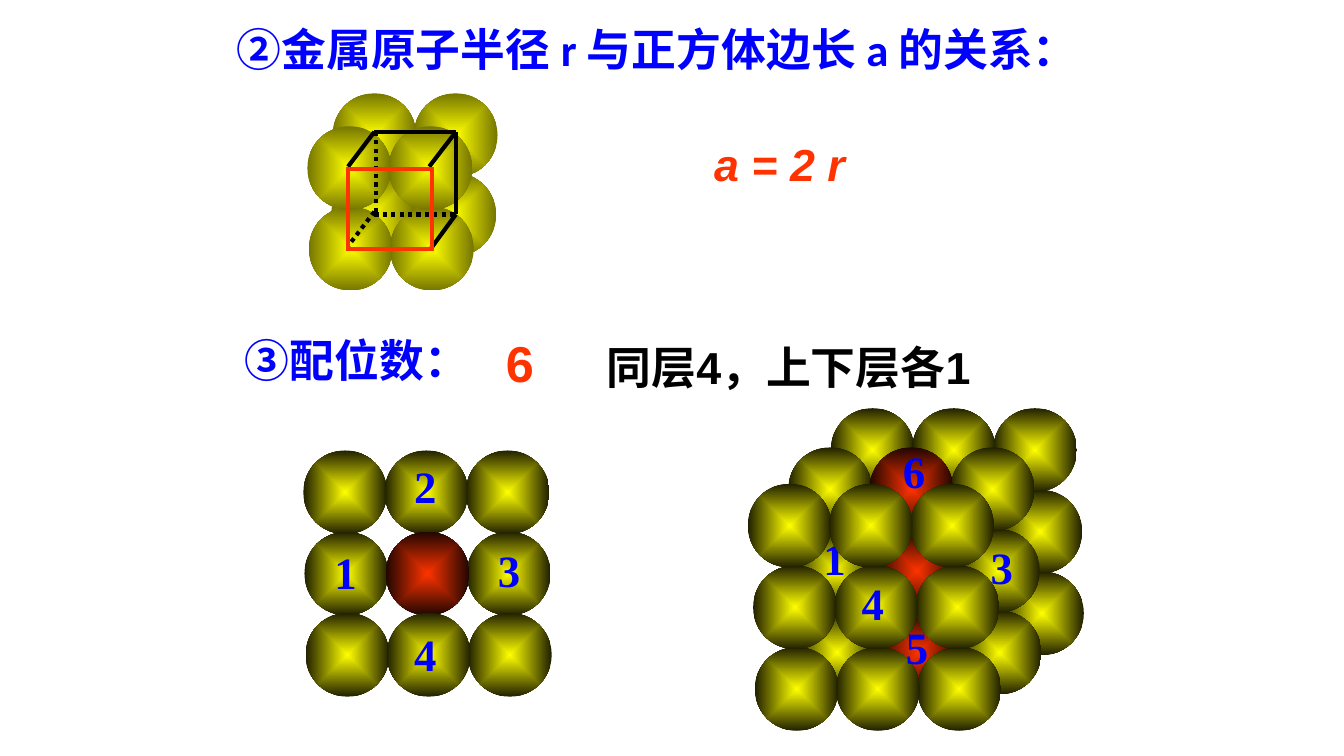
from dataclasses import dataclass

from lxml.etree import SubElement
from pptx import Presentation
from pptx.dml.color import RGBColor
from pptx.enum.dml import MSO_LINE_DASH_STYLE as Dash
from pptx.enum.shapes import MSO_CONNECTOR as Connector, MSO_SHAPE as Shape
from pptx.enum.text import PP_ALIGN as Align
from pptx.oxml.ns import qn
from pptx.util import Pt


@dataclass(frozen=True)
class Theme:
    blue: str = "0000FF"
    red: str = "FF3300"
    black: str = "000000"
    yellow: str = "FFFF00"
    olive_rim: str = "767600"
    dark_rim: str = "202000"
    red_rim: str = "200600"
    title_font: str = "Calibri"
    body_font: str = "Arial"
    number_font: str = "Times New Roman"
    text_size: int = 32
    answer_size: int = 36
    edge_width: int = 3


THEME = Theme()
DIAMETER = 59.8
STEP = 58


# Basic parts
def add_text(slide, box, text, color, font=THEME.body_font,
             size=THEME.text_size, italic=False, align=Align.LEFT):
    shape = slide.shapes.add_textbox(*map(Pt, box))
    frame = shape.text_frame
    frame.word_wrap = True
    frame.text = text
    paragraph = frame.paragraphs[0]
    paragraph.alignment = align
    run_font = paragraph.runs[0].font
    run_font.name = font
    run_font.size = Pt(size)
    run_font.bold = True
    run_font.italic = italic
    run_font.color.rgb = RGBColor.from_string(color)


def add_sphere(slide, left, top, center, rim):
    shape = slide.shapes.add_shape(
        Shape.OVAL, Pt(left), Pt(top), Pt(DIAMETER), Pt(DIAMETER))
    shape.shadow.inherit = False
    shape.line.fill.background()
    shape.fill.gradient()
    for stop, position, color in zip(shape.fill.gradient_stops, (0, 1), (center, rim)):
        stop.position = position
        stop.color.rgb = RGBColor.from_string(color)
    # Turn the linear gradient into one that spreads from the centre
    gradient = shape._element.spPr.find(qn("a:gradFill"))
    gradient.remove(gradient.find(qn("a:lin")))
    spread = SubElement(gradient, qn("a:path"), path="shape")
    SubElement(spread, qn("a:fillToRect"),
               {side: "50000" for side in ("l", "t", "r", "b")})


def add_edge(slide, start, end, color, dotted=False):
    line = slide.shapes.add_connector(Connector.STRAIGHT, *map(Pt, (*start, *end)))
    line.line.color.rgb = RGBColor.from_string(color)
    line.line.width = Pt(THEME.edge_width)
    if dotted:
        line.line.dash_style = Dash.ROUND_DOT
    SubElement(line._element.spPr, qn("a:effectLst"))


def add_numbers(slide, left, top, places):
    for number, (x, y) in places.items():
        add_text(slide, (left + x, top + y, 30, 46), number,
                 THEME.blue, THEME.number_font)


def add_layer(slide, left, top, rows):
    """Three rows of three spheres, with a red one in the middle."""
    for row, (x, y) in enumerate(rows):
        for column in (0, 2, 1):
            is_center = row == column == 1
            add_sphere(slide, left + x + column * STEP, top + y,
                       THEME.red if is_center else THEME.yellow,
                       THEME.red_rim if is_center else THEME.dark_rim)


# Regions
def add_unit_cell(slide, left, top):
    # Eight spheres, from the bottom back pair to the top front pair
    pairs = [(17, 57.2, (1, 0)), (1, 81.5, (1, 0)),
             (18, 0.5, (0, 1)), (0, 24, (0, 1))]
    for x, y, columns in pairs:
        for column in columns:
            add_sphere(slide, left + x + column * STEP, top + y,
                       THEME.yellow, THEME.olive_rim)

    # Cube edges behind the front face
    front_left, front_right = left + 29, left + 89
    front_top, front_bottom = top + 54.8, top + 111.6
    back_left, back_right = left + 47.8, left + 106
    back_top, back_bottom = top + 28, top + 87
    edges = [
        ((back_left, back_top), (back_right, back_top), False),
        ((back_right, back_top), (back_right, back_bottom), False),
        ((back_left + 1, back_top), (back_left + 1, back_bottom), True),
        ((back_left, back_bottom), (back_right, back_bottom), True),
        ((back_left, back_top), (front_left, front_top - 2), False),
        ((back_right, back_top), (front_right - 2, front_top - 2), False),
        ((back_right, back_bottom), (front_right - 1, front_bottom), False),
        ((back_left, back_bottom - 2), (front_left, front_bottom - 2), True),
    ]
    for start, end, dotted in edges:
        add_edge(slide, start, end, THEME.black, dotted)

    # Red front face
    for y in (front_top, front_bottom):
        add_edge(slide, (front_left, y), (front_right, y), THEME.red)
    for x in (front_left, front_right):
        add_edge(slide, (x, front_top - 1.5), (x, front_bottom + 1.5), THEME.red)


def add_flat_layer(slide, left, top):
    add_layer(slide, left, top, [(row * 0.8, row * STEP) for row in range(3)])
    add_numbers(slide, left, top, {
        "1": (15.1, 63.4), "2": (72, 2.2), "3": (131.8, 62), "4": (72, 122.4)})


def add_stacked_layers(slide, left, top):
    rows = [(59.2, 0), (28.9, 28), (0, 54)]
    add_layer(slide, left + 5, top + 2 * STEP + 0.6, rows)
    add_layer(slide, left + 3.8, top + STEP + 0.3, rows)
    add_numbers(slide, left, top, {
        "1": (46.8, 84.2), "3": (166.3, 90), "4": (74.2, 116), "5": (105.8, 147.6)})
    add_layer(slide, left, top, rows)
    add_numbers(slide, left, top, {"6": (103.7, 21.6)})


def add_radius_relation(slide, left, top):
    add_text(slide, (left, top, 732, 60), "②金属原子半径 r 与正方体边长 a 的关系：",
             THEME.blue, THEME.title_font)
    add_unit_cell(slide, left + 57.6, top + 54)
    add_text(slide, (left + 327.6, top + 82, 134.6, 46), "a = 2 r",
             THEME.red, italic=True, align=Align.CENTER)


def add_coordination_number(slide, left, top):
    add_text(slide, (left, top, 672, 57), "③配位数：", THEME.blue)
    add_text(slide, (left + 186.5, top, 48, 51), "6", THEME.red,
             size=THEME.answer_size)
    add_text(slide, (left + 258.5, top + 5, 354, 46), "同层4，上下层各1", THEME.black)
    add_flat_layer(slide, left + 48.9, top + 87.8)
    add_stacked_layers(slide, left + 366.4, top + 57.6)


def main():
    presentation = Presentation()
    presentation.slide_width = Pt(960)
    presentation.slide_height = Pt(540)
    slide = presentation.slides.add_slide(presentation.slide_layouts[6])
    add_radius_relation(slide, 162, 12.2)
    add_coordination_number(slide, 167.8, 234)
    presentation.save("out.pptx")


if __name__ == "__main__":
    main()
